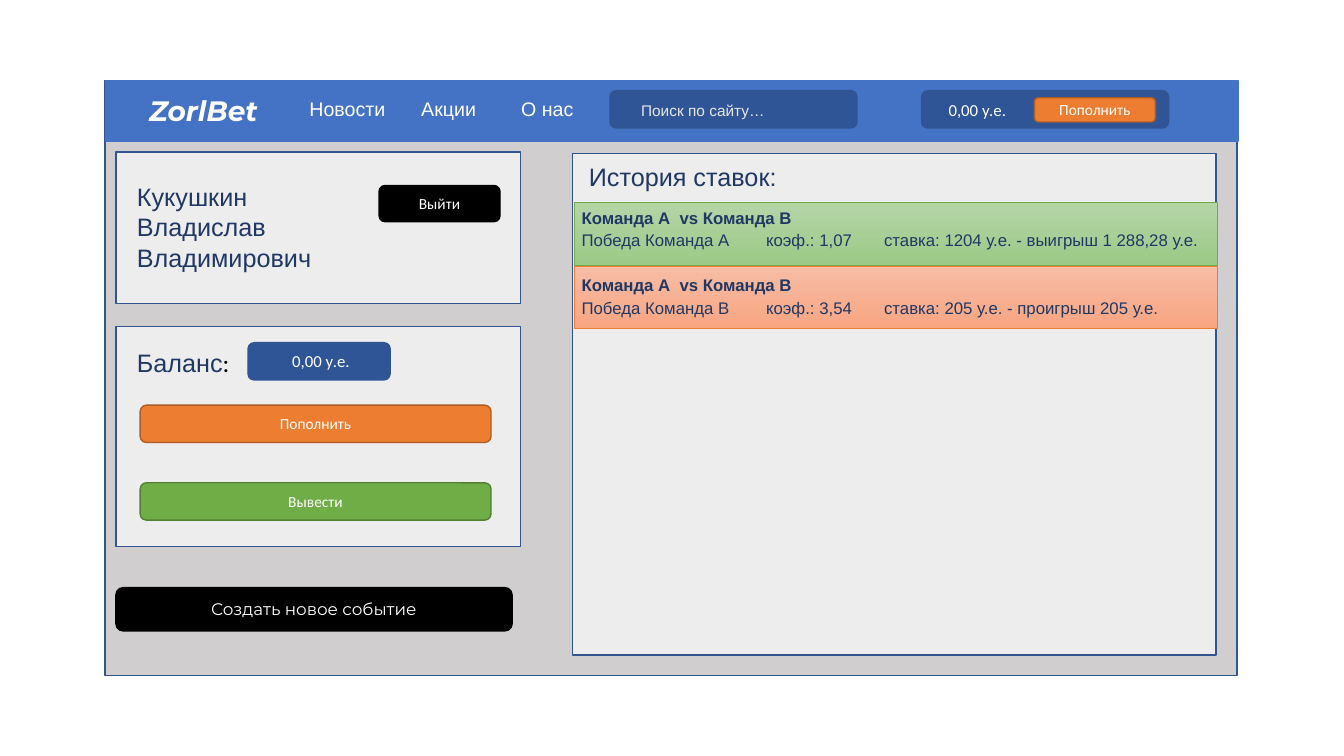
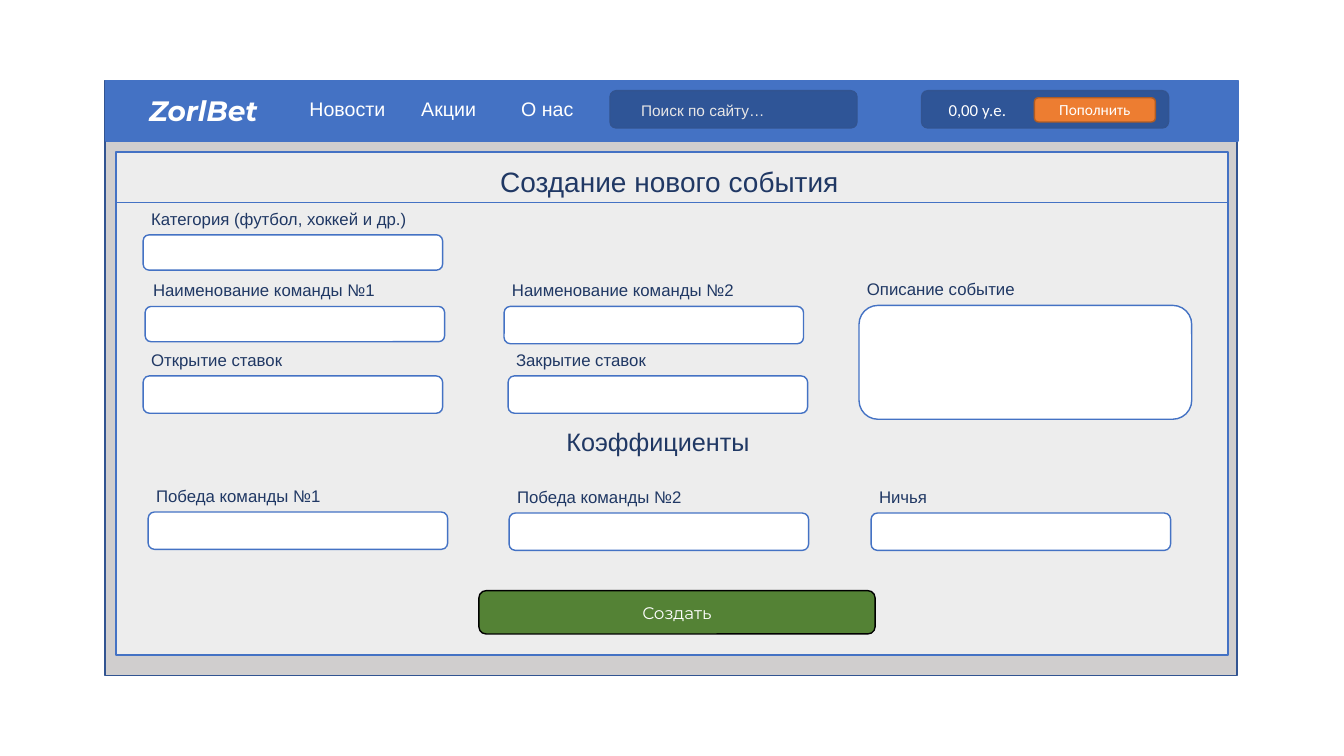
from lxml import etree
from pptx import Presentation
from pptx.dml.color import RGBColor
from pptx.enum.shapes import MSO_CONNECTOR, MSO_SHAPE
from pptx.enum.text import MSO_ANCHOR, MSO_AUTO_SIZE, PP_ALIGN
from pptx.oxml.ns import qn
from pptx.util import Pt

RECTANGLE = MSO_SHAPE.RECTANGLE
ROUNDED = MSO_SHAPE.ROUNDED_RECTANGLE
STRAIGHT = MSO_CONNECTOR.STRAIGHT
TOP, MIDDLE = MSO_ANCHOR.TOP, MSO_ANCHOR.MIDDLE
LEFT, CENTER = PP_ALIGN.LEFT, PP_ALIGN.CENTER
NO_AUTOFIT = MSO_AUTO_SIZE.NONE
TITLE_ONLY = 5
EMU_PER_PX = 9144

COLORS = {
    "page": "D0CECE",
    "panel": "EDEDED",
    "blue": "4472C4",
    "outline": "325491",
    "dark_blue": "2F5597",
    "navy": "203864",
    "white": "FFFFFF",
    "black": "000000",
    "hint": "E7E6E6",
    "orange": "ED7D31",
    "dark_orange": "AF5C24",
    "green": "70AD47",
    "dark_green": "538035",
    "create": "548235",
    "win_top": "B5D5A7",
    "win_bottom": "9CC987",
    "loss_top": "F7BDA5",
    "loss_bottom": "F8A582",
}


def px(*lengths):
    return [length * EMU_PER_PX for length in lengths]


def rgb(name):
    return RGBColor.from_string(COLORS[name])


def write(paragraph, text, size=12, font="Arial", color="navy", bold=False, italic=False):
    for index, line in enumerate(text.split("\n")):
        if index:
            paragraph.add_line_break()
        run = paragraph.add_run()
        run.text = line
        run.font.size = Pt(size)
        run.font.name = font
        run.font.color.rgb = rgb(color)
        run.font.bold = bold
        run.font.italic = italic


class Page:
    def __init__(self, presentation):
        self.slide = presentation.slides.add_slide(presentation.slide_layouts[TITLE_ONLY])
        self.shapes = self.slide.shapes
        self.box(104, 80, 1123, 590, "page")
        self.header()

    def box(self, left, top, width, height, fill, line="outline", line_width=1, kind=RECTANGLE):
        shape = self.shapes.add_shape(kind, *px(left, top, width, height))
        shape.shadow.inherit = False
        if isinstance(fill, tuple):
            shape.fill.gradient()
            shape.fill.gradient_angle = 270
            for stop, position, color in zip(shape.fill.gradient_stops, (0, 1), fill):
                stop.position = position
                stop.color.rgb = rgb(color)
        else:
            shape.fill.solid()
            shape.fill.fore_color.rgb = rgb(fill)
        shape.line.color.rgb = rgb(line)
        shape.line.width = Pt(line_width)
        return shape

    def rounded(self, left, top, width, height, fill="dark_blue", line="outline"):
        return self.box(left, top, width, height, fill, line, kind=ROUNDED)

    def button(self, left, top, width, height, text, fill, line, size=11, font="Calibri"):
        frame = self.rounded(left, top, width, height, fill, line).text_frame
        frame.vertical_anchor = MIDDLE
        frame.paragraphs[0].alignment = CENTER
        write(frame.paragraphs[0], text, size=size, font=font, color="white")

    def text(self, left, top, width, height, text, tabs=(), **style):
        frame = self.shapes.add_textbox(*px(left, top, width, height)).text_frame
        frame.word_wrap = True
        paragraph = frame.paragraphs[0]
        if tabs:
            tab_list = etree.SubElement(paragraph._p.get_or_add_pPr(), qn("a:tabLst"))
            for position in px(*tabs):
                etree.SubElement(tab_list, qn("a:tab"), pos=str(position), algn="l")
        write(paragraph, text, **style)
        return paragraph

    def title(self, left, top, width, height, text, size):
        title = self.shapes.title
        title.left, title.top, title.width, title.height = px(left, top, width, height)
        frame = title.text_frame
        frame.word_wrap = True
        frame.auto_size = NO_AUTOFIT
        frame.vertical_anchor = TOP
        frame.paragraphs[0].alignment = LEFT
        write(frame.paragraphs[0], text, size=size)
        self.shapes._spTree.append(title._element)

    def rule(self, left, top, right):
        connector = self.shapes.add_connector(STRAIGHT, *px(left, top, right, top))
        connector.line.color.rgb = rgb("blue")
        connector.line.width = Pt(0.5)
        etree.SubElement(connector._element.spPr, qn("a:effectLst"))

    def header(self):
        self.box(105, 80, 1123, 60, "blue", "blue")
        self.text(138, 88, 160, 44, "ZorlBet", size=20, font="Montserrat",
                  color="white", bold=True, italic=True)
        self.text(297, 91, 300, 34, "Новости\tАкции\tО нас", tabs=(111, 210),
                  size=14, color="white")
        self.rounded(914, 90, 245, 37)
        self.button(1026, 97, 120, 24, "Пополнить", "orange", "dark_orange")
        self.text(931, 94, 90, 30, "0,00 у.е.", font="Calibri", color="white")
        self.rounded(605, 90, 245, 37)
        self.text(626, 95, 180, 29, "Поиск по сайту…", size=11, color="hint")

    def bet(self, top, text_top, match, details, fill, line):
        self.box(570, top, 637, 62, fill, line, 0.5)
        self.text(567, text_top, 259, 30, match, bold=True)
        self.text(567, text_top + 22, 645, 30, details, tabs=(183, 300))

    def field(self, left, top, label, width=297, height=37):
        self.text(left - 2, top - 31, 297, 30, label)
        self.rounded(left, top, width, height, "white", "blue")


def build_account(presentation):
    page = Page(presentation)
    page.box(115, 151, 401, 150, "panel")
    page.text(126, 175, 240, 101, "Кукушкин\nВладислав\nВладимирович", size=18)
    page.button(376, 184, 120, 36, "Выйти", "black", "black")

    page.box(115, 324, 401, 218, "panel")
    balance = page.text(126, 340, 120, 40, "Баланс", size=18)
    write(balance, ":", size=18, font="Calibri", color="black")
    page.rounded(246, 340, 141, 37)
    page.text(280, 343, 102, 30, "0,00 у.е.", font="Calibri", color="white")
    page.button(139, 402, 348, 37, "Пополнить", "orange", "dark_orange")
    page.button(139, 479, 348, 37, "Вывести", "green", "dark_green")
    page.button(115, 583, 393, 43, "Создать новое событие", "black", "black",
                size=12, font="Montserrat")

    page.box(568, 152, 638, 498, "panel")
    page.title(574, 155, 260, 40, "История ставок:", 18)
    page.bet(201, 201, "Команда А  vs Команда В",
             "Победа Команда А\tкоэф.: 1,07\tставка: 1204 у.е. - выигрыш 1 288,28 у.е.",
             ("win_top", "win_bottom"), "green")
    page.bet(264, 268, "Команда А  vs Команда В",
             "Победа Команда В\tкоэф.: 3,54\tставка: 205 у.е. - проигрыш 205 у.е.",
             ("loss_top", "loss_bottom"), "orange")


def build_event_form(presentation):
    page = Page(presentation)
    page.box(115, 151, 1103, 499, "panel", "blue")
    page.title(486, 158, 400, 44, "Создание нового события", 20)
    page.rule(115, 201, 1218)
    page.field(142, 233, "Категория (футбол, хоккей и др.)", height=35)
    page.field(144, 304, "Наименование команды №1", height=35)
    page.field(500, 304, "Наименование команды №2")
    page.field(852, 303, "Описание событие", width=330, height=113)
    page.field(142, 373, "Открытие ставок")
    page.field(504, 373, "Закрытие ставок")
    page.text(552, 418, 260, 40, "Коэффициенты", size=18)
    page.field(147, 508, "Победа команды №1")
    page.field(505, 509, "Победа команды №2")
    page.field(864, 509, "Ничья")
    page.button(475, 586, 393, 43, "Создать", "create", "black", size=12, font="Montserrat")


def main():
    presentation = Presentation()
    presentation.slide_width, presentation.slide_height = px(1333, 750)
    build_account(presentation)
    build_event_form(presentation)
    presentation.save("out.pptx")


if __name__ == "__main__":
    main()
